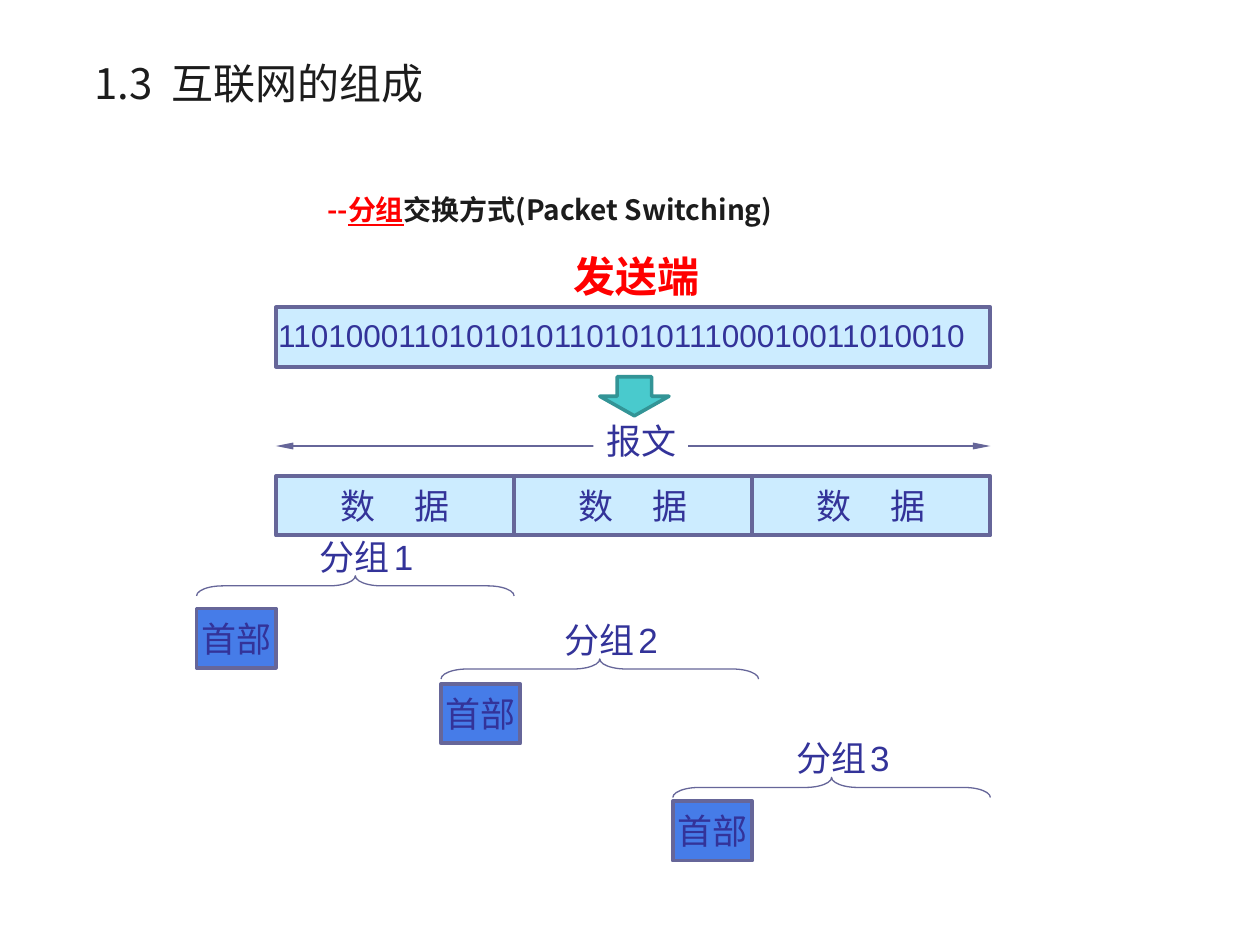
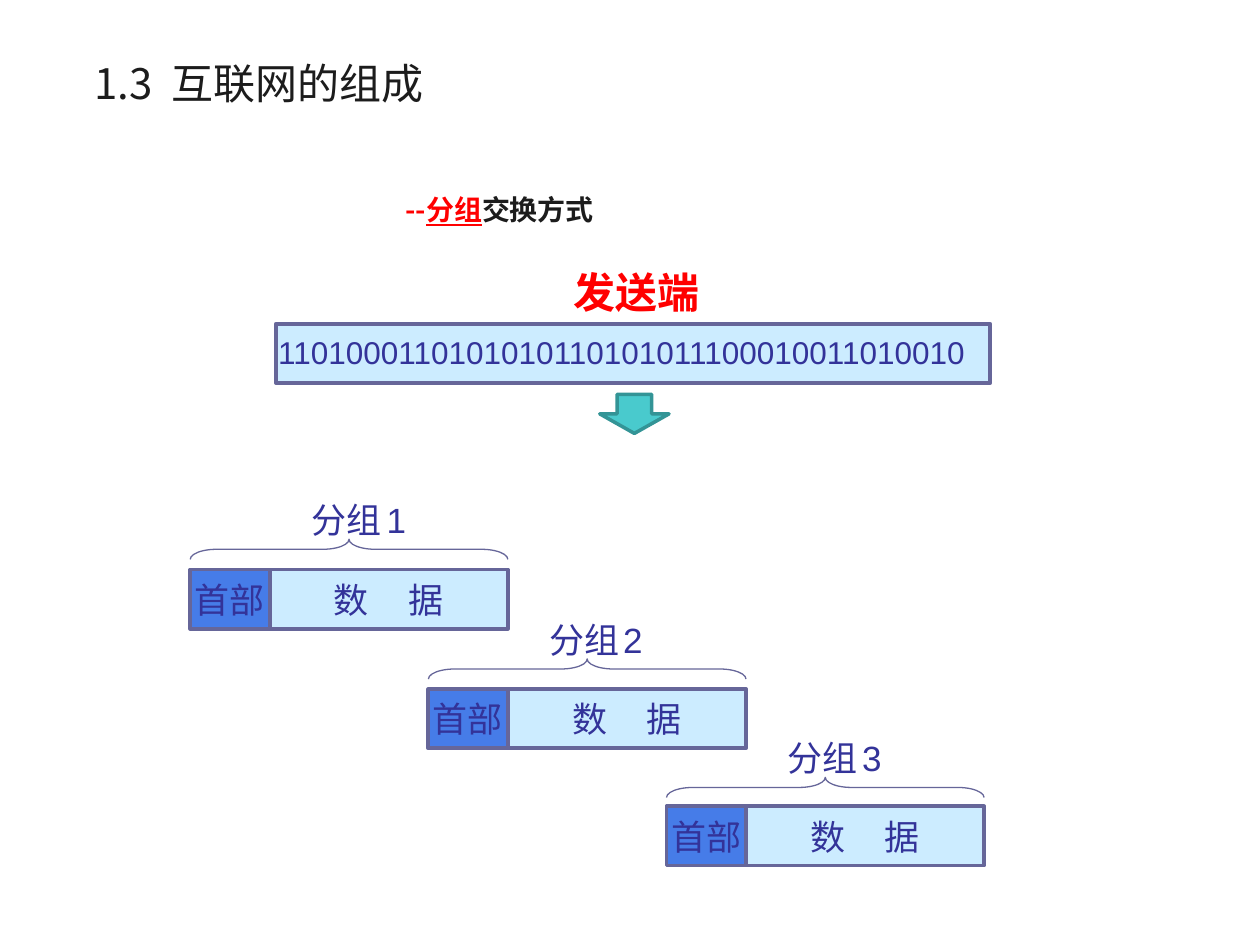
from lxml.etree import SubElement
from pptx import Presentation
from pptx.dml.color import RGBColor
from pptx.enum.shapes import MSO_CONNECTOR, MSO_SHAPE
from pptx.enum.text import MSO_ANCHOR, PP_ALIGN
from pptx.oxml.ns import qn
from pptx.util import Inches, Pt

INK = RGBColor(0x1C, 0x1C, 0x1C)
RED = RGBColor(0xFF, 0x00, 0x00)
INDIGO = RGBColor(0x33, 0x33, 0x99)
SLATE = RGBColor(0x66, 0x66, 0x99)
PALE = RGBColor(0xCC, 0xEC, 0xFF)
BLUE = RGBColor(0x46, 0x7C, 0xE8)
TEAL = RGBColor(0x49, 0xCA, 0xCD)
DARK_TEAL = RGBColor(0x33, 0x94, 0x96)
WHITE = RGBColor(0xFF, 0xFF, 0xFF)

CJK, LATO, ARIAL, TIMES = "Noto Sans CJK SC", "Lato", "Arial", "Times New Roman"
BITS = "1101000110101010110101011100010011010010"
MESSAGE_LEFT = 2.19
DATA_W, HEAD_W, ROW_H = 1.89, 0.63, 0.47
PACKET_W = HEAD_W + DATA_W
BRACE_H = 0.16


def style(font, size, name, color, bold=False):
    """Set the size, typeface, colour and weight of a font."""
    font.size, font.name, font.bold = Pt(size), name, bold
    font.color.rgb = color


def add_text(slide, box, text, size, name, color, bold=False, wrap=False):
    """Add a text box and return its only paragraph."""
    tf = slide.shapes.add_textbox(*map(Inches, box)).text_frame
    tf.word_wrap = wrap
    p = tf.paragraphs[0]
    if text:
        p.add_run().text = text
    style(p.font, size, name, color, bold)
    return p


def add_block(slide, kind, box, fill=None, line=None, width=2.25):
    """Add a preset shape with an optional fill and outline."""
    sp = slide.shapes.add_shape(kind, *map(Inches, box))
    sp.shadow.inherit = False
    if fill is None:
        sp.fill.background()
    else:
        sp.fill.solid()
        sp.fill.fore_color.rgb = fill
    if line is None:
        sp.line.fill.background()
    else:
        sp.line.color.rgb = line
        sp.line.width = Pt(width)
    return sp


def add_cell(slide, left, top, width, fill, text, gap=None):
    """Add a labelled packet cell, with an optional wide space in its label."""
    sp = add_block(slide, MSO_SHAPE.RECTANGLE, (left, top, width, ROW_H), fill, SLATE)
    tf = sp.text_frame
    tf.word_wrap = False
    tf.vertical_anchor = MSO_ANCHOR.MIDDLE
    p = tf.paragraphs[0]
    p.alignment = PP_ALIGN.CENTER
    for part in text.partition(" "):
        if part:
            r = p.add_run()
            r.text = part
            style(r.font, 20, LATO, INDIGO)
            if part == " " and gap:
                r.font._element.set("spc", str(gap * 100))


def add_data(slide, left, top):
    """Add a data cell."""
    add_cell(slide, left, top, DATA_W, PALE, "数 据", gap=18)


def add_header(slide, left, top):
    """Add a header cell."""
    add_cell(slide, left, top, HEAD_W, BLUE, "首部")


def add_packet_brace(slide, left, top, number, label_dx, space_size):
    """Add the brace over a packet and its numbered label."""
    box = (left + (PACKET_W - BRACE_H) / 2, top - (PACKET_W - BRACE_H) / 2, BRACE_H, PACKET_W)
    sp = add_block(slide, MSO_SHAPE.LEFT_BRACE, box, line=SLATE, width=0.75)
    sp.rotation = 90
    sp.adjustments[0] = 1.31
    p = add_text(slide, (left + label_dx, top - 0.37, 1.01, 0.44), "", 20, LATO, INDIGO)
    for text, size, name in (("分组", 20, LATO), (" ", space_size, ARIAL), (str(number), 20, ARIAL)):
        r = p.add_run()
        r.text = text
        style(r.font, size, name, INDIGO)


def add_heading(slide, subtitle_box, subtitle):
    """Add the section title and the switching-method line."""
    p = add_text(slide, (0.2, 0.36, 3.78, 0.6), "1.3  互联网的组成 ", 24, CJK, INK, wrap=True)
    p.alignment = PP_ALIGN.CENTER
    p._p.getparent().find(qn("a:bodyPr")).set("anchor", "ctr")
    p = add_text(slide, subtitle_box, "", 16, CJK, INK, bold=True, wrap=True)
    p.space_before = Pt(4)
    pPr = p._p.get_or_add_pPr()
    pPr.set("marL", str(Inches(0.38)))
    pPr.set("indent", str(Inches(0.01)))
    for text, color, underline in (("--", RED, False), ("分组", RED, True), (subtitle, INK, False)):
        r = p.add_run()
        r.text = text
        style(r.font, 16, CJK, color, bold=True)
        r.font.underline = underline


def add_sender(slide, top):
    """Add the sender label and the bit string below it."""
    row = top + 0.5
    for i in range(3):
        add_block(slide, MSO_SHAPE.RECTANGLE, (MESSAGE_LEFT + i * DATA_W, row, DATA_W, ROW_H), PALE)
    add_block(slide, MSO_SHAPE.RECTANGLE, (MESSAGE_LEFT, row, 3 * DATA_W, ROW_H), line=SLATE)
    add_text(slide, (2.11, row + 0.02, 5.76, 0.4), BITS, 18, ARIAL, INDIGO)
    add_text(slide, (4.45, top, 1.25, 0.5), "发送端", 24, ARIAL, RED, bold=True, wrap=True)


def add_down_arrow(slide, top):
    """Add the arrow that leads from the bit string downwards."""
    add_block(slide, MSO_SHAPE.DOWN_ARROW, (4.76, top, 0.55, 0.31), TEAL, DARK_TEAL, 2)


def add_message(slide, top):
    """Add the message span line and its three data cells."""
    y = Inches(top + 0.26)
    span = slide.shapes.add_connector(
        MSO_CONNECTOR.STRAIGHT, Inches(MESSAGE_LEFT), y, Inches(MESSAGE_LEFT + 3 * DATA_W), y)
    span.line.color.rgb = SLATE
    span.line.width = Pt(0.75)
    ln = span.line._get_or_add_ln()
    for end in ("a:headEnd", "a:tailEnd"):
        SubElement(ln, qn(end), type="triangle", w="sm", len="lg")
    SubElement(span._element.spPr, qn("a:effectLst"))
    add_block(slide, MSO_SHAPE.RECTANGLE, (4.71, top, 0.75, 0.44), WHITE)
    p = add_text(slide, (4.49, top, 1.2, 0.44), "报文", 20, TIMES, INDIGO, wrap=True)
    p.alignment = PP_ALIGN.CENTER
    for i in range(3):
        add_data(slide, MESSAGE_LEFT + i * DATA_W, top + 0.5)


def build_splitting(slide):
    """Show the message split into data cells, with headers waiting."""
    add_heading(slide, (2.11, 1.48, 6.02, 0.63), "交换方式(Packet Switching)")
    add_sender(slide, 1.94)
    add_message(slide, 3.28)
    add_down_arrow(slide, 2.99)
    packets = ((1.56, 4.57, 4.83), (3.5, 5.23, 5.43), (5.34, 6.17, 6.36))
    for number, (left, brace_top, head_top) in enumerate(packets, 1):
        add_header(slide, left, head_top)
        add_packet_brace(slide, left, brace_top, number, 0.88, 10)


def build_packets(slide):
    """Show the finished packets stepping down to the right."""
    add_heading(slide, (2.73, 1.48, 4.22, 0.63), "交换方式")
    add_sender(slide, 2.07)
    add_down_arrow(slide, 3.13)
    packets = ((4.28, 4.52, 14), (5.23, 5.47, 10), (6.17, 6.4, 12))
    for i, (brace_top, row_top, space_size) in enumerate(packets):
        left = 1.51 + i * DATA_W
        add_data(slide, left + HEAD_W, row_top)
        add_header(slide, left, row_top)
        add_packet_brace(slide, left, brace_top, i + 1, 0.86, space_size)


def main():
    """Build and save the presentation."""
    prs = Presentation()
    prs.slide_width, prs.slide_height = Inches(10), Inches(7.5)
    for build in (build_splitting, build_packets):
        build(prs.slides.add_slide(prs.slide_layouts[6]))
    prs.save("out.pptx")


if __name__ == "__main__":
    main()
